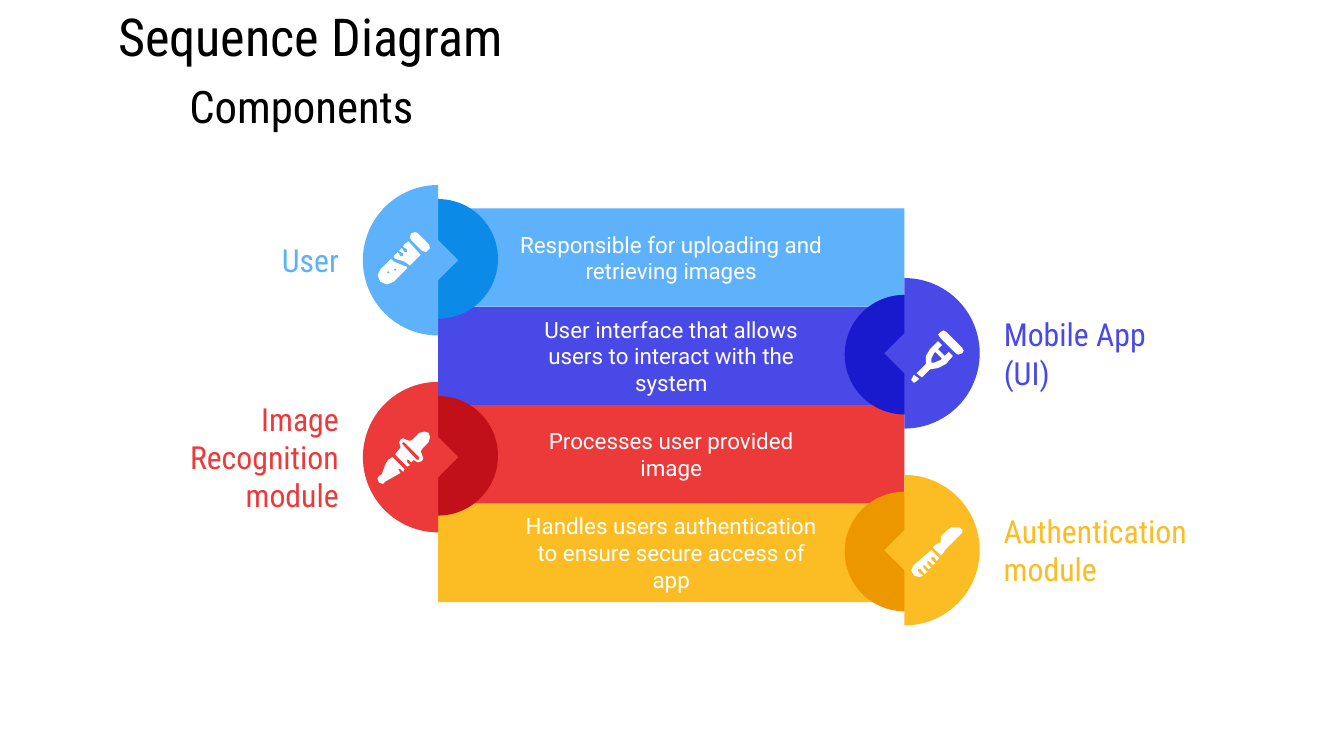
from dataclasses import dataclass
from math import cos, pi, sin

from pptx import Presentation
from pptx.dml.color import RGBColor
from pptx.enum.shapes import MSO_SHAPE as Shape
from pptx.enum.text import MSO_ANCHOR as Anchor, PP_ALIGN as Align
from pptx.util import Inches, Pt

SLIDE_WIDTH = 10
SLIDE_HEIGHT = SLIDE_WIDTH * 9 / 16
HEADING_FONT, BODY_FONT = "Roboto Condensed", "Roboto"
WHITE, BLACK = "FFFFFF", "000000"

# Each icon is a list of parts, each part a list of contours (outline, then holes),
# in hundredths of an inch from the icon's top left corner.
TEST_TUBE = [
    [[(28, -1), (25, 0), (24, 3), (25, 5), (33, 13), (36, 14), (39, 11), (38, 8), (30, 0)]],
    [[(10, 19), (2, 27), (0, 31), (2, 36), (7, 38), (12, 36), (22, 26), (22, 25), (17, 23),
      (12, 21)],
     [(13, 26), (14, 27), (13, 28), (12, 27)],
     [(8, 28), (9, 29), (8, 30), (7, 29)]],
    [[(23, 6), (20, 8), (19, 10), (22, 12), (22, 14), (20, 14), (18, 11), (16, 13), (19, 15),
      (19, 17), (17, 17), (15, 14), (12, 17), (13, 19), (17, 20), (20, 21), (24, 24), (32, 16)]],
]
CRUTCH = [
    [[(24, 3), (22, 4), (20, 6), (22, 9), (33, 20), (35, 21), (38, 20), (39, 18), (38, 16),
      (26, 4)]],
    [[(2, 36), (1, 38), (0, 40), (1, 41), (2, 42), (4, 41), (6, 39)]],
    [[(20, 11), (14, 17), (11, 22), (11, 28), (4, 35), (8, 38), (14, 32), (20, 31), (26, 28),
      (31, 22), (28, 19), (25, 22), (20, 17), (23, 14)],
     [(18, 19), (23, 24), (22, 25), (17, 27), (15, 27), (15, 24), (17, 20)]],
]
DROPPER = [
    [[(11, 20), (8, 22), (6, 25), (3, 33), (1, 34), (0, 36), (1, 39), (4, 40), (6, 38), (8, 37),
      (15, 33), (17, 32), (16, 30), (15, 29), (17, 29), (19, 31), (20, 29)]],
    [[(35, 1), (31, 2), (26, 7), (24, 8), (21, 7), (19, 6), (17, 7), (16, 9), (17, 12), (17, 13),
      (13, 18), (22, 27), (24, 26), (22, 24), (22, 22), (23, 22), (25, 24), (27, 22), (28, 23),
      (30, 24), (33, 23), (34, 21), (33, 18), (32, 16), (33, 14), (38, 9), (39, 5), (38, 2)],
     [(19, 9), (20, 9), (31, 20), (31, 22), (29, 22), (18, 10)]],
]
COMB = [
    [[(33, 3), (30, 3), (27, 5), (22, 10), (22, 14), (20, 15), (18, 16), (16, 18), (22, 24),
      (24, 22), (25, 20), (38, 7), (38, 5), (36, 3)]],
    [[(15, 20), (2, 31), (0, 35), (2, 39), (6, 40), (9, 39), (5, 36), (5, 34), (7, 34), (10, 38),
      (12, 36), (9, 33), (9, 31), (10, 31), (13, 34), (15, 33), (12, 30), (12, 28), (13, 28),
      (16, 31), (18, 30), (15, 27), (15, 25), (17, 25), (19, 28), (21, 26)]],
]


@dataclass
class Component:
    name: str
    role: str
    color: str
    dark: str
    icon: list
    label_width: float


COMPONENTS = [
    Component("User", "Responsible for uploading and retrieving images",
              "5EB2FC", "0C8AE8", TEST_TUBE, 1.31),
    Component("Mobile App (UI)", "User interface that allows users to interact with the system",
              "4949E7", "1919CE", CRUTCH, 1.31),
    Component("Image Recognition module", "Processes user provided image",
              "EC3A3B", "C11019", DROPPER, 1.93),
    Component("Authentication module", "Handles users authentication to ensure secure access of app",
              "FCBD24", "ED9700", COMB, 1.67),
]


def rgb(color):
    return RGBColor.from_string(color)


def paint(shape, color):
    shape.shadow.inherit = False
    shape.fill.solid()
    shape.fill.fore_color.rgb = rgb(color)
    shape.line.fill.background()


def write(shape, text, size, font, color, align=Align.LEFT, side_inset=0.1):
    frame = shape.text_frame
    frame.text = text
    frame.word_wrap = True
    frame.vertical_anchor = Anchor.MIDDLE
    frame.margin_left = frame.margin_right = Inches(side_inset)
    frame.margin_top = frame.margin_bottom = Inches(0.1)
    paragraph = frame.paragraphs[0]
    paragraph.alignment = align
    for run in paragraph.runs:
        run.font.size = Pt(size)
        run.font.name = font
        run.font.color.rgb = rgb(color)


def add_text(slide, box, *style):
    write(slide.shapes.add_textbox(*map(Inches, box)), *style)


def add_outline(slide, contours, color):
    """Draw closed contours, given in inches, as one filled freeform."""
    outline, *holes = [[(Inches(x), Inches(y)) for x, y in contour] for contour in contours]
    builder = slide.shapes.build_freeform(*outline[0])
    builder.add_line_segments(outline[1:], close=True)
    for hole in holes:
        builder.move_to(*hole[0])
        builder.add_line_segments(hole[1:], close=True)
    paint(builder.convert_to_shape(), color)


def add_bar(slide, box, component):
    bar = slide.shapes.add_shape(Shape.RECTANGLE, *map(Inches, box))
    paint(bar, component.color)
    write(bar, component.role, 12, BODY_FONT, WHITE, Align.CENTER, 0.6)


def add_badge(slide, seam, middle, side, component):
    """Place circle, notched half disc, icon and label; side is -1 for left, 1 for right."""
    diameter, disc_radius, notch, steps = 0.89, 0.56, 0.15, 48
    circle = slide.shapes.add_shape(
        Shape.OVAL, Inches(seam - diameter / 2), Inches(middle + side * 0.01 - diameter / 2),
        Inches(diameter), Inches(diameter))
    paint(circle, component.dark)

    angles = [pi * step / steps for step in range(steps + 1)]
    half_disc = [(seam + side * disc_radius * sin(angle), middle - disc_radius * cos(angle))
                 for angle in angles]
    half_disc += [(seam, middle + notch), (seam - side * notch, middle), (seam, middle - notch)]
    add_outline(slide, [half_disc], component.color)

    icon_left = seam + (0.05 if side > 0 else -0.45)
    icon_top = middle - 0.2
    for part in component.icon:
        add_outline(slide, [[(icon_left + x / 100, icon_top + y / 100) for x, y in contour]
                            for contour in part], WHITE)

    width, gap, height = component.label_width, 0.64, 0.29
    label_left = seam + gap if side > 0 else seam - gap - width
    add_text(slide, (label_left, middle - height / 2, width, height), component.name, 17,
             HEADING_FONT, component.color, Align.LEFT if side > 0 else Align.RIGHT)


def add_component_stack(slide, left, top, width, height):
    bar_height = height / len(COMPONENTS)
    tops = [top + index * bar_height for index in range(len(COMPONENTS))]
    for bar_top, component in zip(tops, COMPONENTS):
        add_bar(slide, (left, bar_top, width, bar_height), component)
    for index, (bar_top, component) in enumerate(zip(tops, COMPONENTS)):
        side = 1 if index % 2 else -1
        seam = left + width if side > 0 else left
        add_badge(slide, seam, bar_top + bar_height / 2 - side * 0.02, side, component)


def add_headings(slide, left, top, width, height):
    add_text(slide, (left, top, width, height), "Sequence Diagram", 28, HEADING_FONT, BLACK)
    add_text(slide, (left + 0.53, top + 0.52, width, height), "Components", 24,
             HEADING_FONT, BLACK)


def main():
    deck = Presentation()
    deck.slide_width, deck.slide_height = Inches(SLIDE_WIDTH), Inches(SLIDE_HEIGHT)
    slide = deck.slides.add_slide(deck.slide_layouts[6])
    add_headings(slide, 0.78, 0, 8.45, 0.53)
    add_component_stack(slide, 3.26, 1.55, 3.47, 2.93)
    deck.save("out.pptx")


if __name__ == "__main__":
    main()
